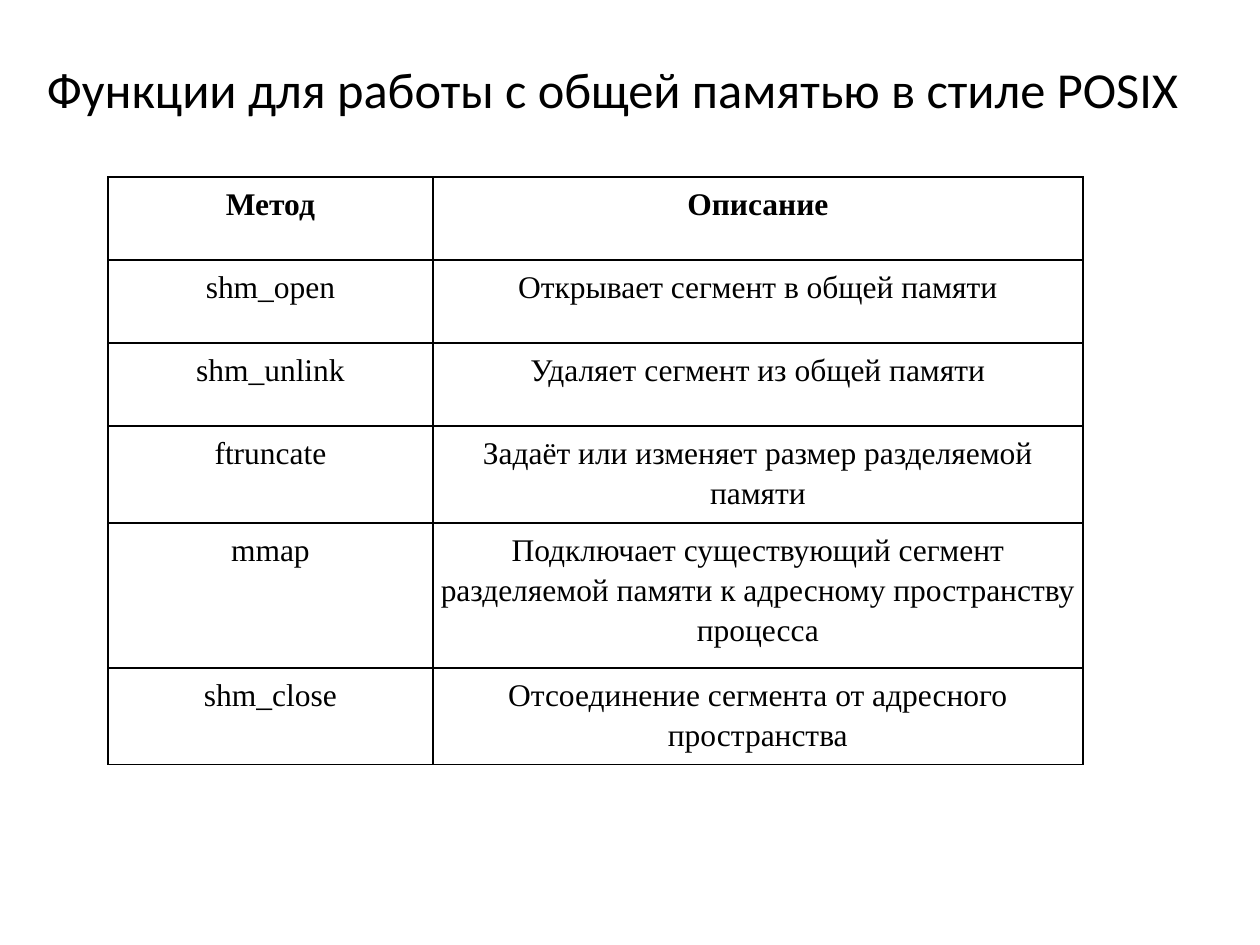
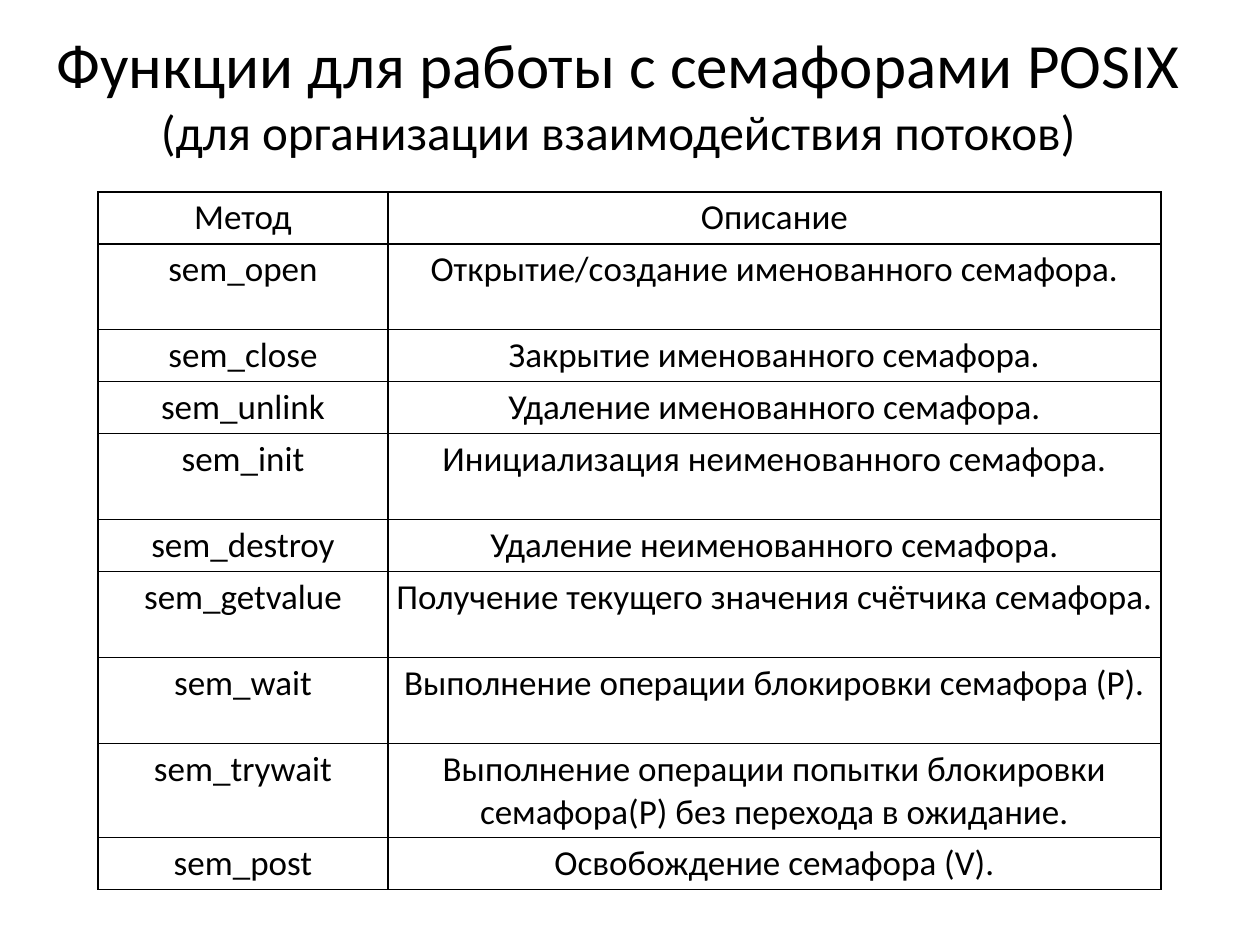
from dataclasses import dataclass

from lxml import etree
from pptx import Presentation
from pptx import util as u
from pptx.dml.color import RGBColor
from pptx.enum import text as t
from pptx.oxml.ns import qn


@dataclass(frozen=True)
class Theme:
    ink: str = "000000"
    paper: str = "FFFFFF"
    sans: str = "Calibri"
    serif: str = "Times New Roman"
    big: float = 36
    sub: float = 28
    head: float = 28.8
    cell: float = 20
    small: float = 18


T = Theme()
PX = u.Inches(1) // 126
HEAD = ("Метод", "Описание")

# Content: title lines with sizes, table rows with heights
MEMORY = dict(
    title=[("Функции для работы с общей памятью в стиле POSIX", T.head)],
    box=(29, 38, 1168, 100),
    at=(108, 177), cols=(325, 650), pad=5, edge=1,
    head=dict(bold=True),
    style=dict(font=T.serif, size=T.small, gap=1.15),
    rows=[
        (83, *HEAD),
        (83, "shm_open", "Открывает сегмент в общей памяти"),
        (83, "shm_unlink", "Удаляет сегмент из общей памяти"),
        (91, "ftruncate", "Задаёт или изменяет размер разделяемой памяти"),
        (145, "mmap", "Подключает существующий сегмент разделяемой памяти "
                      "к адресному пространству процесса"),
        (91, "shm_close", "Отсоединение сегмента от адресного пространства"),
    ],
)
LOW, TALL = 52, 86
SEMS = dict(
    title=[("Функции для работы с семафорами POSIX", T.big),
           ("(для организации взаимодействия потоков)", T.sub)],
    box=(39, 38, 1158, 110),
    at=(98, 192), cols=(290, 773), pad=4, edge=0.75,
    head={},
    style=dict(size=T.cell),
    rows=[
        (LOW, *HEAD),
        (TALL, "sem_open", "Открытие/создание именованного семафора."),
        (LOW, "sem_close", "Закрытие именованного семафора."),
        (LOW, "sem_unlink", "Удаление именованного семафора."),
        (TALL, "sem_init", "Инициализация неименованного семафора."),
        (LOW, "sem_destroy", "Удаление неименованного семафора."),
        (TALL, "sem_getvalue", "Получение текущего значения счётчика семафора."),
        (TALL, "sem_wait", "Выполнение операции блокировки семафора (P)."),
        (94, "sem_trywait", "Выполнение операции попытки блокировки "
                            "семафора(P) без перехода в ожидание."),
        (LOW, "sem_post", "Освобождение семафора (V)."),
    ],
)


def px(*nums):
    return [n * PX for n in nums]


def write(para, words, size, font=T.sans, bold=False, gap=None):
    """Add a centred run to a paragraph."""
    para.alignment = t.PP_ALIGN.CENTER
    if gap:
        para.line_spacing = gap
    run = para.add_run()
    run.text = words
    run.font.size = u.Pt(size)
    run.font.name = font
    run.font.bold = bold
    run.font.color.rgb = RGBColor.from_string(T.ink)


def border(cell, width):
    """Draw all four sides; lines must come before the cell fill."""
    props = cell._tc.get_or_add_tcPr()
    for spot, side in enumerate(("a:lnL", "a:lnR", "a:lnT", "a:lnB")):
        line = etree.Element(qn(side), w=str(u.Pt(width)))
        fill = etree.SubElement(line, qn("a:solidFill"))
        etree.SubElement(fill, qn("a:srgbClr"), val=T.ink)
        props.insert(spot, line)


def title(slide, box, lines):
    frame = slide.shapes.add_textbox(*px(*box)).text_frame
    frame.word_wrap = True
    frame.vertical_anchor = t.MSO_ANCHOR.MIDDLE
    para = frame.paragraphs[0]
    for i, (words, size) in enumerate(lines):
        if i:
            para.add_line_break()
        write(para, words, size)


def table(slide, at, cols, rows, pad, edge, head, style):
    size = sum(cols), sum(row[0] for row in rows)
    grid = slide.shapes.add_table(len(rows), len(cols), *px(*at, *size)).table
    grid.first_row = grid.horz_banding = False
    for col, wide in zip(grid.columns, cols):
        col.width = wide * PX
    for r, (high, *texts) in enumerate(rows):
        grid.rows[r].height = high * PX
        for c, words in enumerate(texts):
            cell = grid.cell(r, c)
            cell.margin_left = cell.margin_right = pad * PX
            cell.margin_top = cell.margin_bottom = pad * PX
            cell.fill.background()
            border(cell, edge)
            look = style if r else {**style, **head}
            write(cell.text_frame.paragraphs[0], words, **look)


def main():
    deck = Presentation()
    deck.slide_width, deck.slide_height = px(1260, 945)
    for page in (MEMORY, SEMS):
        slide = deck.slides.add_slide(deck.slide_layouts[6])
        back = slide.background.fill
        back.solid()
        back.fore_color.rgb = RGBColor.from_string(T.paper)
        parts = dict(page)
        title(slide, parts.pop("box"), parts.pop("title"))
        table(slide, **parts)
    deck.save("out.pptx")


if __name__ == "__main__":
    main()
